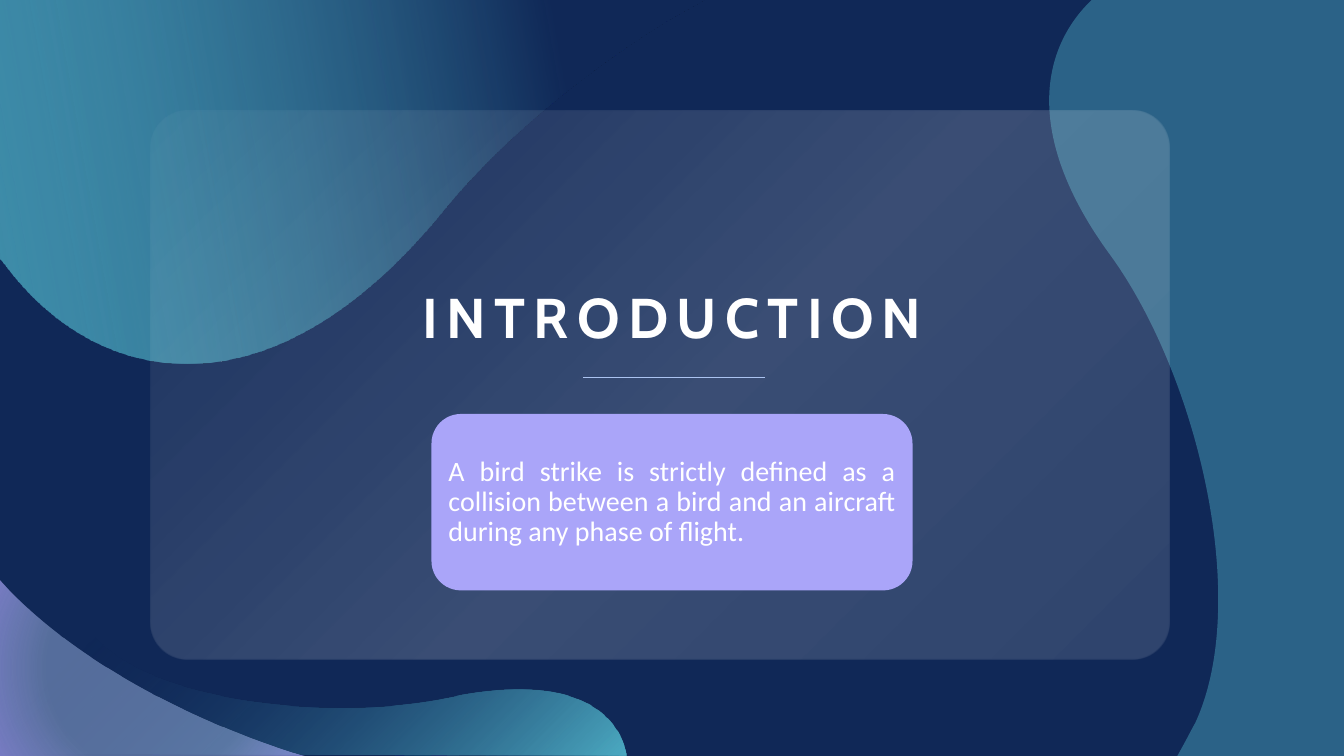
from lxml.etree import SubElement
from pptx import Presentation
from pptx.dml.color import RGBColor
from pptx.enum.shapes import MSO_CONNECTOR, MSO_SHAPE
from pptx.enum.text import MSO_ANCHOR, PP_ALIGN
from pptx.oxml import parse_xml
from pptx.oxml.ns import nsdecls, qn
from pptx.util import Pt

TITLE = "INTRODUCTION"
DEFINITION = ("A bird strike is strictly defined as a collision between "
              "a bird and an aircraft during any phase of flight.")

COLORS = {"navy": "102857", "aqua": "64DFED", "lilac": "AAA5F9",
          "haze": "ABC3F0", "white": "FFFFFF"}

# Gradient stops: position %, colour, opacity %
# Shading: an angle in degrees, or the l, t, r, b percentages of a focus
TO_CORNER = (100, 100, 0, 0)
TO_CENTER = (50, 50, 50, 50)

# Outline steps: one point is a line, three points are a Bezier curve
BLOBS = {
    "wave": {
        "box": (0, 382.3, 447.1, 157.7), "start": (25.2, 382.3),
        "steps": [[(29.5, 394.6)],
                  [(39.6, 420.5), (54, 441.4), (70.6, 457.9)],
                  [(113.8, 501.8), (239, 515.5), (319, 498.2)],
                  [(401, 480.2), (439.9, 504), (447.1, 538.6)],
                  [(447.1, 540)], [(0, 538.6)], [(0, 535.7)]],
        "stops": [(0, "aqua", 71), (77, "navy", 0)], "shading": TO_CORNER},
    "top left": {
        "box": (0, 0, 503.3, 259.9), "start": (0, 0),
        "steps": [[(503.3, 0)], [(475.2, 15.8)],
                  [(412.6, 54.7), (357.1, 101.5), (318.2, 148.3)],
                  [(193.7, 302.4), (69.1, 277.2), (3.6, 189.4)],
                  [(0, 185)]],
        "stops": [(20, "navy", 100), (100, "aqua", 54)], "shading": 170},
    "right": {
        "box": (749.4, 0, 210.6, 540), "start": (960, 0),
        "steps": [[(960, 540)], [(841, 540)], [(844.6, 533.5)],
                  [(848.2, 527), (851, 521.3), (853.9, 516.2)],
                  [(894.2, 428.4), (854.6, 265.7), (792, 180.7)],
                  [(733, 99.4), (741.6, 36.7), (779.8, 0)]],
        "stops": [(0, "aqua", 32)], "shading": None},
    "corner": {
        "box": (0, 414, 218.2, 126), "start": (0, 414),
        "steps": [[(7.2, 421.9)],
                  [(55.4, 471.6), (131.8, 512.6), (208.1, 537.1)],
                  [(218.2, 540)], [(0, 540)], [(0, 477.4)]],
        "stops": [(60, "haze", 45), (99, "lilac", 67)], "shading": TO_CENTER},
}
PANEL = (107.3, 79.2, 727.9, 391.7)
PANEL_STOPS = [(6, "white", 13), (47, "white", 17), (100, "white", 3)]
TITLE_BOX = (175.7, 169.9, 609.1, 84.2)
RULE = (546.5, 269.7, 416.2, 269.7)
CARD = (308.2, 295.7, 343.6, 126)


def rgb(name):
    return RGBColor.from_string(COLORS[name])


def points(values):
    return [Pt(v) for v in values]


def add_blob(s, box, start, steps):
    """Add a freeform filling the box, with true curves as its outline."""
    left, top, width, height = points(box)
    right, bottom = left + width, top + height
    builder = s.shapes.build_freeform(left, top)
    builder.add_line_segments([(right, top), (right, bottom), (left, bottom)])
    sp = builder.convert_to_shape()
    outline = next(sp._element.iter(qn("a:path")))
    for child in list(outline):
        outline.remove(child)
    for i, step in enumerate([[start], *steps]):
        tag = "moveTo" if i == 0 else "lnTo" if len(step) == 1 else "cubicBezTo"
        segment = SubElement(outline, qn(f"a:{tag}"))
        for x, y in step:
            SubElement(segment, qn("a:pt"),
                       x=str(Pt(x) - left), y=str(Pt(y) - top))
    SubElement(outline, qn("a:close"))
    return sp


def paint(sp, stops, shading):
    """Give a shape a translucent fill, solid when there is one stop."""
    sp.shadow.inherit = False
    sp.line.fill.background()
    sp.fill.background()
    tints = [f'<a:srgbClr val="{COLORS[c]}"><a:alpha val="{a * 1000}"/>'
             '</a:srgbClr>' for _, c, a in stops]
    if len(stops) == 1:
        xml = f'<a:solidFill {nsdecls("a")}>{tints[0]}</a:solidFill>'
    else:
        marks = "".join(f'<a:gs pos="{stop[0] * 1000}">{tint}</a:gs>'
                        for stop, tint in zip(stops, tints))
        if isinstance(shading, tuple):
            sides = " ".join(f'{k}="{v * 1000}"'
                             for k, v in zip("ltrb", shading))
            shade = (f'<a:path path="circle"><a:fillToRect {sides}/>'
                     '</a:path>')
        else:
            shade = f'<a:lin ang="{shading * 60000}" scaled="0"/>'
        xml = (f'<a:gradFill {nsdecls("a")} rotWithShape="1">'
               f'<a:gsLst>{marks}</a:gsLst>{shade}</a:gradFill>')
    spPr = sp._element.spPr
    spPr.replace(spPr.find(qn("a:noFill")), parse_xml(xml))


def write(tf, text, size, font, align):
    tf.word_wrap = True
    p = tf.paragraphs[0]
    p.alignment = align
    p.line_spacing = 0.9
    r = p.add_run()
    r.text = text
    r.font.size = Pt(size)
    r.font.name = font
    r.font.color.rgb = rgb("white")
    return r


def main():
    prs = Presentation()
    prs.slide_width, prs.slide_height = Pt(960), Pt(540)
    s = prs.slides.add_slide(prs.slide_layouts[0])
    s.background.fill.solid()
    s.background.fill.fore_color.rgb = rgb("navy")
    subtitle = s.placeholders[1]._element
    subtitle.getparent().remove(subtitle)

    for name, blob in BLOBS.items():
        if name == "corner":
            panel = s.shapes.add_shape(MSO_SHAPE.ROUNDED_RECTANGLE,
                                       *points(PANEL))
            panel.adjustments[0] = 0.068
            paint(panel, PANEL_STOPS, TO_CORNER)
        sp = add_blob(s, blob["box"], blob["start"], blob["steps"])
        paint(sp, blob["stops"], blob["shading"])

    rule = s.shapes.add_connector(MSO_CONNECTOR.STRAIGHT, *points(RULE))
    rule.line.color.rgb = rgb("haze")
    rule.line.width = Pt(0.5)
    rule._element.spPr.append(parse_xml(f'<a:effectLst {nsdecls("a")}/>'))

    title = s.shapes.title
    title.left, title.top, title.width, title.height = points(TITLE_BOX)
    title.text_frame.vertical_anchor = MSO_ANCHOR.BOTTOM
    r = write(title.text_frame, TITLE, 40, "Cabin", PP_ALIGN.CENTER)
    r.font.bold = True
    r.font._element.set("spc", "600")
    s.shapes._spTree.append(title._element)  # in front of the panel

    card = s.shapes.add_shape(MSO_SHAPE.ROUNDED_RECTANGLE, *points(CARD))
    card.shadow.inherit = False
    card.line.fill.background()
    card.fill.solid()
    card.fill.fore_color.rgb = rgb("lilac")
    tf = card.text_frame
    tf.vertical_anchor = MSO_ANCHOR.MIDDLE
    tf.margin_left = tf.margin_right = Pt(6)
    tf.margin_top = tf.margin_bottom = Pt(3)
    write(tf, DEFINITION, 20, "Calibri", PP_ALIGN.JUSTIFY)

    prs.save("out.pptx")


if __name__ == "__main__":
    main()
